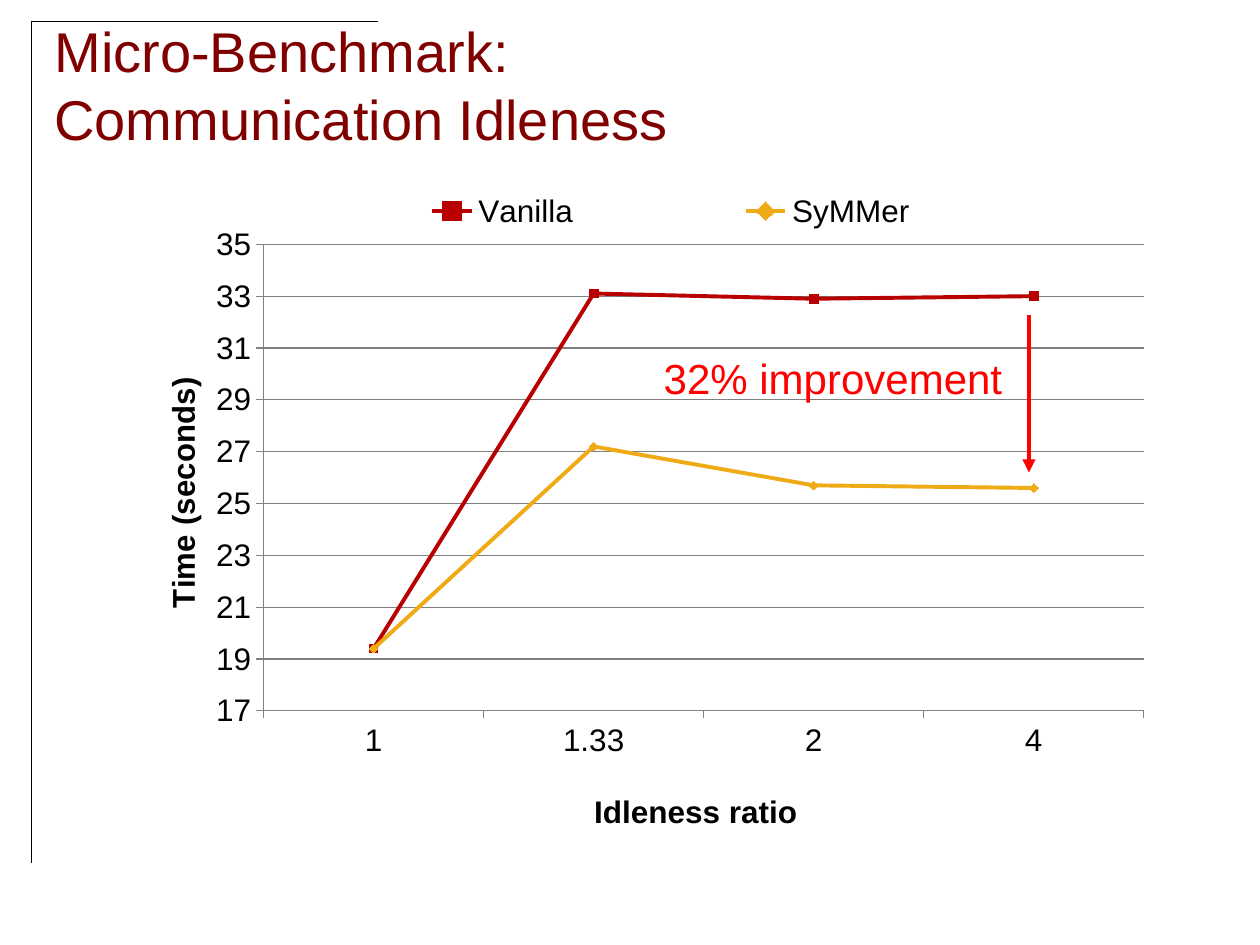
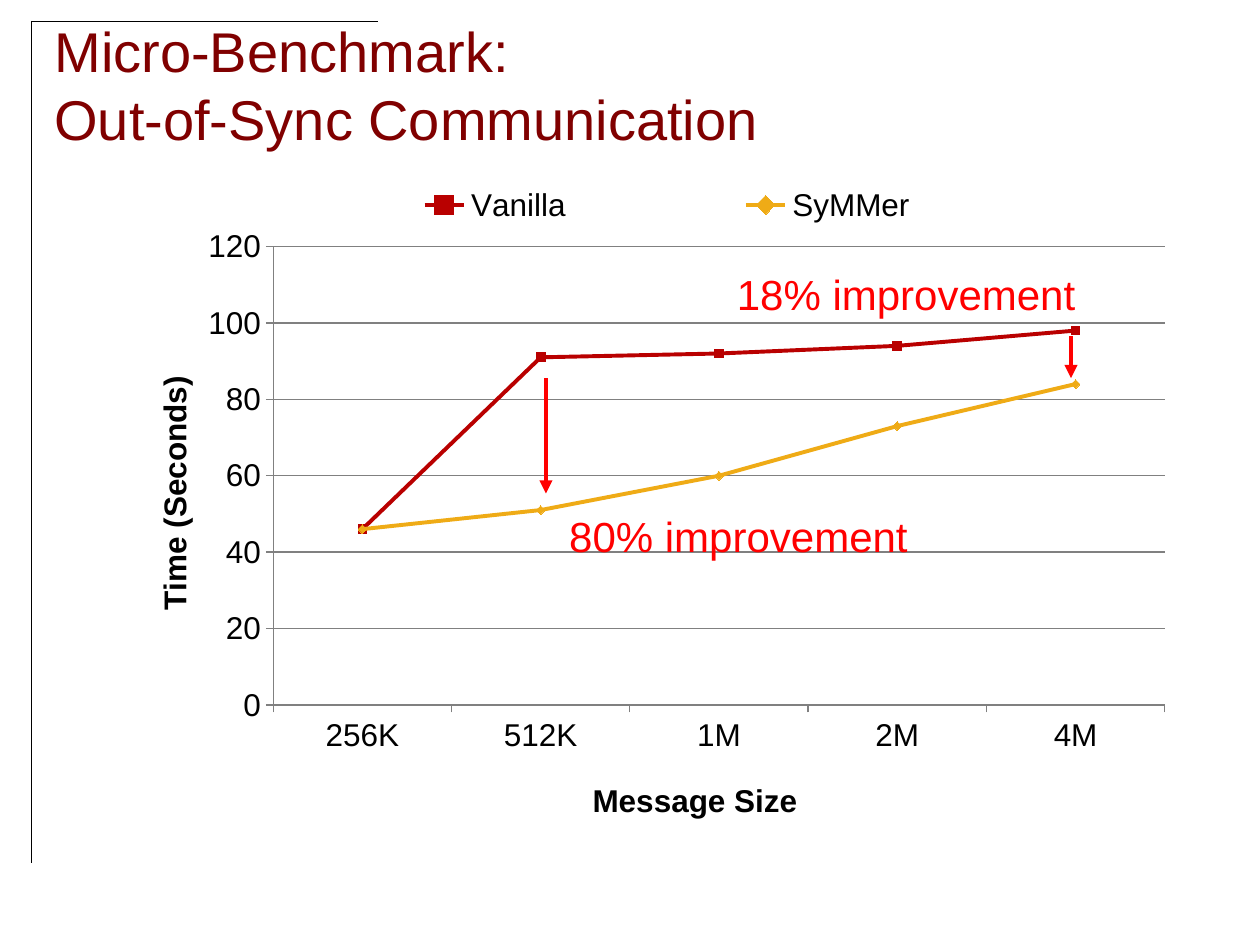
from pptx import Presentation
from pptx.chart.data import CategoryChartData
from pptx.dml.color import RGBColor
from pptx.enum.chart import XL_CHART_TYPE as ChartType, XL_LEGEND_POSITION as LegendPosition
from pptx.enum.chart import XL_MARKER_STYLE as MarkerStyle, XL_TICK_MARK as TickMark
from pptx.enum.shapes import MSO_CONNECTOR as Connector
from pptx.enum.text import MSO_ANCHOR as Anchor, PP_ALIGN as Align
from pptx.oxml import parse_xml
from pptx.oxml.ns import nsdecls, qn
from pptx.util import Pt

FONT = "Arial"
COLORS = {
    "title": "800000",
    "frame": "000000",
    "text": "000000",
    "grid": "808080",
    "callout": "FF0000",
    "Vanilla": "B90000",
    "SyMMer": "EFAB16",
}
MARKERS = {"Vanilla": MarkerStyle.SQUARE, "SyMMer": MarkerStyle.DIAMOND}
FRAME_LINES = [(18, 12, 18, 54), (18, 12, 216, 12), (18, 54, 18, 493)]

BENCHMARKS = [
    {
        "title": "Micro-Benchmark: \vCommunication Idleness",
        "chart_box": (66, 102, 588, 377.5),
        "categories": ["1", "1.33", "2", "4"],
        "series": {"Vanilla": [19.4, 33.1, 32.9, 33], "SyMMer": [19.4, 27.2, 25.7, 25.6]},
        "scale": (17, 35, 2),
        "axis_titles": ("Idleness ratio", "Time (seconds)"),
        "title_places": ((0.46, 0.93), (0.04, 0.3)),
        "plot_place": (0.144, 0.101, 0.856, 0.715),
        "legend_place": (0.15, 0, 0.78, 0.1),
        "callouts": [("32% improvement", 372, 198, Align.CENTER, (588, 180, 588, 270))],
    },
    {
        "title": "Micro-Benchmark: \vOut-of-Sync Communication",
        "chart_box": (54, 102, 612, 378),
        "categories": ["256K", "512K", "1M", "2M", "4M"],
        "series": {"Vanilla": [46, 91, 92, 94, 98], "SyMMer": [46, 51, 60, 73, 84]},
        "scale": (0, 120, 20),
        "axis_titles": ("Message Size", "Time (Seconds)"),
        "title_places": ((0.46, 0.9), (0.05, 0.29)),
        "plot_place": (0.167, 0.103, 0.833, 0.693),
        "legend_place": (0.15, 0, 0.77, 0.08),
        "callouts": [
            ("80% improvement", 318, 288, Align.CENTER, (312, 216, 312, 282)),
            ("18% improvement", 414, 150, Align.LEFT, (612, 192, 612, 216)),
        ],
    },
]


def place(element, fractions, inner=False):
    for old_layout in element.findall(qn("c:layout")):
        element.remove(old_layout)
    target = '<c:layoutTarget val="inner"/>' if inner else ""
    modes = '<c:xMode val="edge"/><c:yMode val="edge"/>'
    values = "".join(f'<c:{name} val="{value}"/>' for name, value in zip("xywh", fractions))
    layout = parse_xml(
        f'<c:layout {nsdecls("c")}><c:manualLayout>{target}{modes}{values}</c:manualLayout></c:layout>'
    )
    overlay = element.find(qn("c:overlay"))
    if overlay is None:
        element.insert(0, layout)
    else:
        overlay.addprevious(layout)


def draw_line(shapes, ends, color, width, arrow=False):
    line = shapes.add_connector(Connector.STRAIGHT, *map(Pt, ends))
    line.line.color.rgb = RGBColor.from_string(COLORS[color])
    line.line.width = Pt(width)
    if arrow:
        line.line._get_or_add_ln().append(parse_xml(f'<a:tailEnd {nsdecls("a")} type="triangle"/>'))
    line._element.spPr.append(parse_xml(f'<a:effectLst {nsdecls("a")}/>'))


presentation = Presentation()
presentation.slide_width, presentation.slide_height = Pt(720), Pt(540)

for benchmark in BENCHMARKS:
    slide = presentation.slides.add_slide(presentation.slide_layouts[6])
    for ends in FRAME_LINES:
        draw_line(slide.shapes, ends, "frame", 0.25)

    title_frame = slide.shapes.add_textbox(Pt(24), Pt(18), Pt(690), Pt(60)).text_frame
    title_frame.word_wrap = True
    title_frame.vertical_anchor = Anchor.MIDDLE
    title_frame.text = benchmark["title"]
    for run in title_frame.paragraphs[0].runs:
        run.font.name = FONT
        run.font.size = Pt(32)
        run.font.color.rgb = RGBColor.from_string(COLORS["title"])

    chart_data = CategoryChartData()
    chart_data.categories = benchmark["categories"]
    for name, values in benchmark["series"].items():
        chart_data.add_series(name, values)
    chart = slide.shapes.add_chart(
        ChartType.LINE_MARKERS, *map(Pt, benchmark["chart_box"]), chart_data
    ).chart
    chart.has_title = False
    chart.font.name = FONT
    chart.font.size = Pt(18)
    chart.font.color.rgb = RGBColor.from_string(COLORS["text"])
    place(chart.element.find(".//" + qn("c:plotArea")), benchmark["plot_place"], inner=True)

    chart.has_legend = True
    chart.legend.position = LegendPosition.RIGHT
    chart.legend.include_in_layout = False
    place(chart.legend._element, benchmark["legend_place"])

    chart.plots[0].vary_by_categories = False
    for series in chart.plots[0].series:
        color = RGBColor.from_string(COLORS[series.name])
        series.smooth = False
        series.format.line.color.rgb = color
        series.format.line.width = Pt(2.25)
        series.marker.style = MARKERS[series.name]
        series.marker.size = 5
        series.marker.format.fill.solid()
        series.marker.format.fill.fore_color.rgb = color
        series.marker.format.line.color.rgb = color

    value_axis = chart.value_axis
    value_axis.minimum_scale, value_axis.maximum_scale, value_axis.major_unit = benchmark["scale"]
    value_axis.has_major_gridlines = True
    axes = (chart.category_axis, value_axis)
    for axis, text, corner in zip(axes, benchmark["axis_titles"], benchmark["title_places"]):
        axis.major_tick_mark = TickMark.OUTSIDE
        axis.minor_tick_mark = TickMark.NONE
        axis_frame = axis.axis_title.text_frame
        axis_frame.text = text
        font = axis_frame.paragraphs[0].runs[0].font
        font.name, font.size, font.bold = FONT, Pt(18), True
        font.color.rgb = RGBColor.from_string(COLORS["text"])
        place(axis.axis_title.element, corner)
    body = value_axis.axis_title.text_frame._txBody.bodyPr
    body.set("rot", "-5400000")
    body.set("vert", "horz")
    for part in (*axes, value_axis.major_gridlines):
        part.format.line.color.rgb = RGBColor.from_string(COLORS["grid"])
        part.format.line.width = Pt(0.75)

    for text, left, top, alignment, arrow_ends in benchmark["callouts"]:
        callout = slide.shapes.add_group_shape()
        label_frame = callout.shapes.add_textbox(Pt(left), Pt(top), Pt(208), Pt(36)).text_frame
        label_frame.word_wrap = False
        label_frame.text = text
        paragraph = label_frame.paragraphs[0]
        paragraph.alignment = alignment
        font = paragraph.runs[0].font
        font.name, font.size = FONT, Pt(24)
        font.color.rgb = RGBColor.from_string(COLORS["callout"])
        draw_line(callout.shapes, arrow_ends, "callout", 2.5, arrow=True)

presentation.save("out.pptx")
